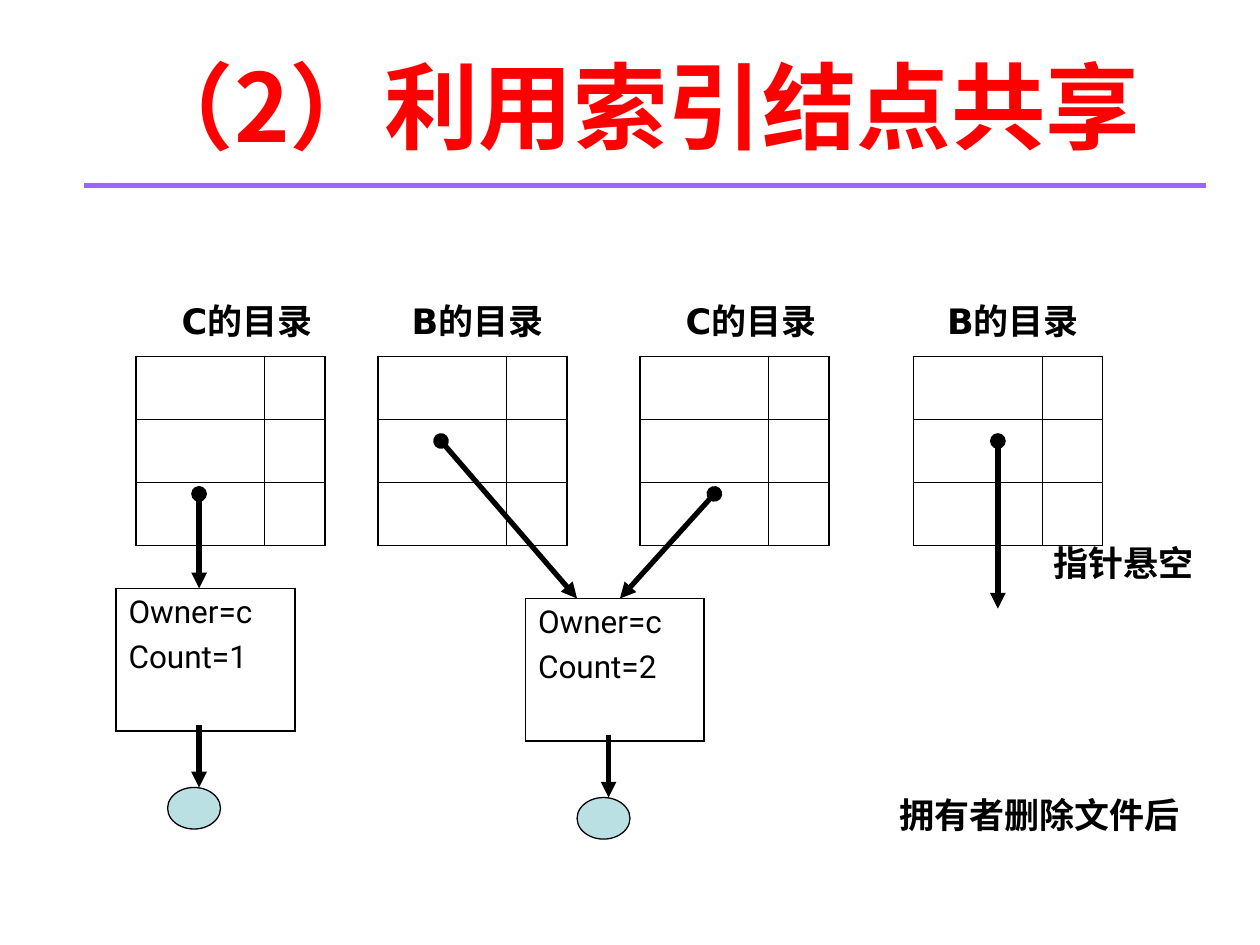
import pptx
import pptx.util
import pptx.dml.color
import pptx.enum.shapes
import pptx.enum.text
import pptx.oxml
import pptx.oxml.ns
from lxml import etree

Inches, Pt = pptx.util.Inches, pptx.util.Pt
ALIGN = pptx.enum.text.PP_ALIGN

TITLE = "（2）利用索引结点共享"
CJK = "Noto Sans CJK SC"
HEAD = {"name": CJK, "size": Pt(54), "bold": True}
LABEL = {"name": "DejaVu Sans", "size": Pt(20), "bold": True}
BODY = {"name": "Roboto", "size": Pt(18), "bold": False}

# text, left, top, width
LABELS = [
    ("C的目录", 1.25, 2.33, 1.42),
    ("B的目录", 3.08, 2.33, 1.42),
    ("C的目录", 5.25, 2.33, 1.42),
    ("B的目录", 7.33, 2.33, 1.42),
    ("指针悬空", 8.17, 4.25, 1.5),
    ("拥有者删除文件后", 7, 6.25, 2.5),
]
DIRS = [1.08, 3, 5.08, 7.25]  # left edges of the directory grids
# left, top, lines
NODES = [
    (0.92, 4.67, ["Owner=c", "Count=1"]),
    (4.17, 4.75, ["Owner=c", "Count=2"]),
]
FILES = [(1.33, 6.25), (4.58, 6.33)]
# from, to, starts with a dot
ARROWS = [
    ((1.58, 3.92), (1.58, 4.67), True),
    ((3.5, 3.5), (4.58, 4.75), True),
    ((5.67, 3.92), (4.92, 4.75), True),
    ((7.92, 3.5), (7.92, 4.83), True),
    ((1.58, 5.75), (1.58, 6.25), False),
    ((4.83, 5.83), (4.83, 6.33), False),
]


def color(code):
    return pptx.dml.color.RGBColor.from_string(code)


def add_tag(parent, tag, **attrs):
    return etree.SubElement(parent, pptx.oxml.ns.qn(tag), attrs)


def write(frame, lines, style, ink="000000", align=ALIGN.CENTER, gap=0):
    for i, line in enumerate(lines):
        para = frame.paragraphs[0] if i == 0 else frame.add_paragraph()
        para.alignment = align
        para.space_before = Pt(gap if i else 0)
        run = para.add_run()
        run.text = line
        for key, value in style.items():
            setattr(run.font, key, value)
        run.font.color.rgb = color(ink)
        add_tag(run.font._element, "a:ea", typeface=CJK)


def add_grid(slide, left, top, cols, rows):
    """Add a plain table with a thick frame and thin inner rules."""
    frame = slide.shapes.add_table(
        len(rows), len(cols), Inches(left), Inches(top),
        Inches(sum(cols)), Inches(sum(rows)))
    table = frame.table
    table.first_row = table.horz_banding = False
    for col, width in zip(table.columns, cols):
        col.width = Inches(width)
    for row, height in zip(table.rows, rows):
        row.height = Inches(height)
    for r in range(len(rows)):
        for c in range(len(cols)):
            cell = table.cell(r, c)
            props = cell._tc.get_or_add_tcPr()
            edges = {"L": c == 0, "R": c == len(cols) - 1,
                     "T": r == 0, "B": r == len(rows) - 1}
            for side, outer in edges.items():
                width = Pt(1.08 if outer else 0.45)
                line = add_tag(props, "a:ln" + side, w=str(width))
                fill = add_tag(line, "a:solidFill")
                add_tag(fill, "a:srgbClr", val="000000")
            cell.fill.background()
    return table


def add_line(slide, start, end, ink="000000", head=None, tail=None):
    line = slide.shapes.add_connector(
        pptx.enum.shapes.MSO_CONNECTOR.STRAIGHT,
        *[Inches(v) for v in (*start, *end)])
    line.line.width = Pt(3)
    line.line.color.rgb = color(ink)
    props = line.line._get_or_add_ln()
    for tag, kind in (("a:headEnd", head), ("a:tailEnd", tail)):
        if kind:
            add_tag(props, tag, type=kind)
    add_tag(line._element.spPr, "a:effectLst")


def main():
    deck = pptx.Presentation()
    deck.slide_width, deck.slide_height = Inches(10), Inches(7.5)
    slide = deck.slides.add_slide(deck.slide_layouts[5])

    title = slide.shapes.title
    title.left, title.top = Inches(0.79), Inches(0.33)
    title.width, title.height = Inches(8.58), Inches(1)
    title.text_frame.vertical_anchor = pptx.enum.text.MSO_ANCHOR.MIDDLE
    title.text_frame.auto_size = pptx.enum.text.MSO_AUTO_SIZE.NONE
    write(title.text_frame, [TITLE], HEAD, "FF0000")
    add_line(slide, (0.67, 1.47), (9.57, 1.47), "9966FF")

    for left in DIRS:
        add_grid(slide, left, 2.83, [1.02, 0.48], [0.5] * 3)
    for left, top, lines in NODES:
        node = add_grid(slide, left, top, [1.42], [1.13])
        write(node.cell(0, 0).text_frame, lines, BODY,
              align=ALIGN.LEFT, gap=4.5)

    for left, top in FILES:
        file = slide.shapes.add_shape(
            pptx.enum.shapes.MSO_SHAPE.OVAL, Inches(left), Inches(top),
            Inches(0.42), Inches(0.33))
        file.shadow.inherit = False
        file.fill.solid()
        file.fill.fore_color.rgb = color("BBE0E3")
        file.line.color.rgb = color("000000")
        file.line.width = Pt(0.75)

    for start, end, dot in ARROWS:
        add_line(slide, start, end, head="oval" if dot else None,
                 tail="triangle")

    for text, left, top, width in LABELS:
        box = slide.shapes.add_textbox(
            Inches(left), Inches(top), Inches(width), Inches(0.44))
        box.text_frame.word_wrap = True
        write(box.text_frame, [text], LABEL)

    deck.save("out.pptx")


if __name__ == "__main__":
    main()
